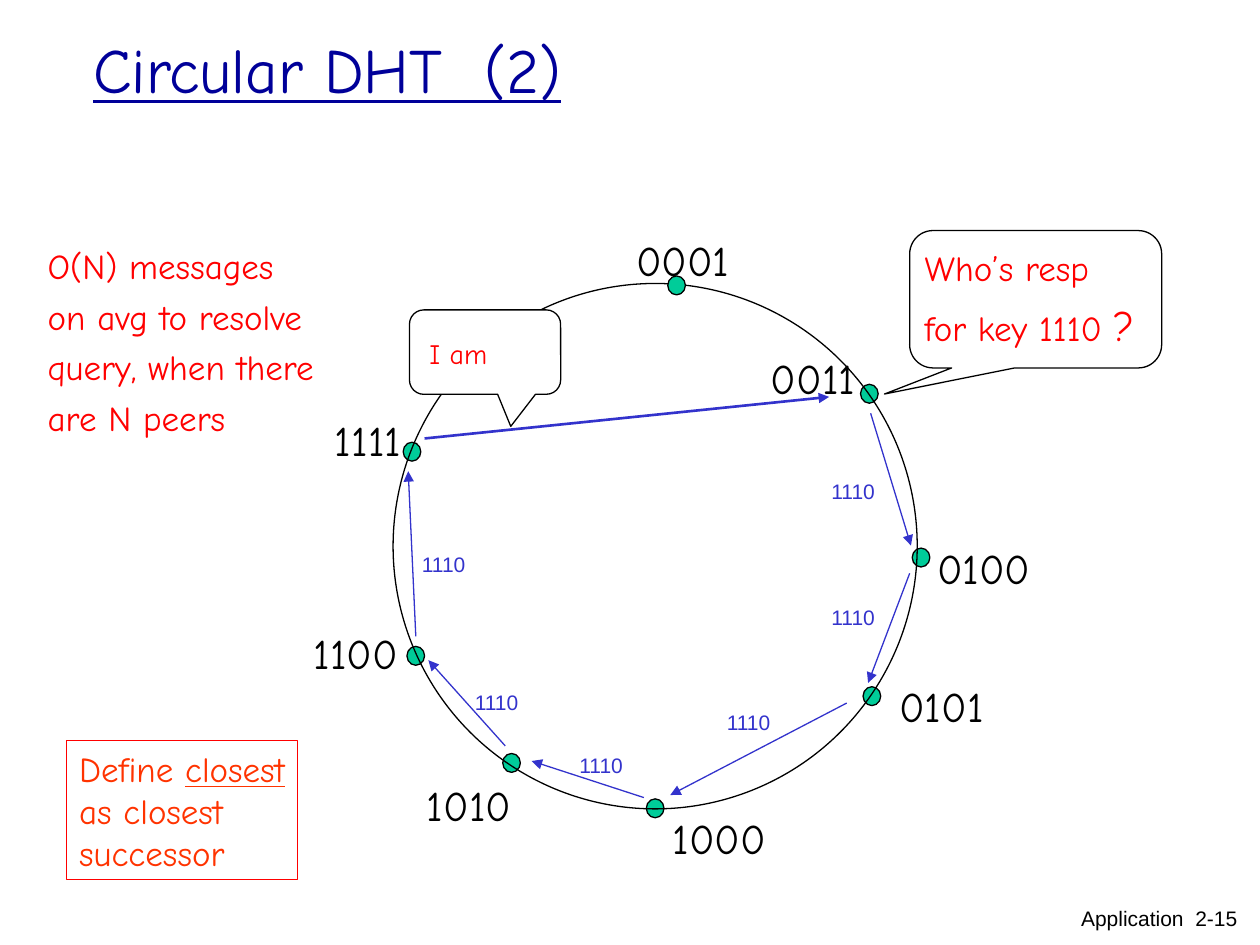
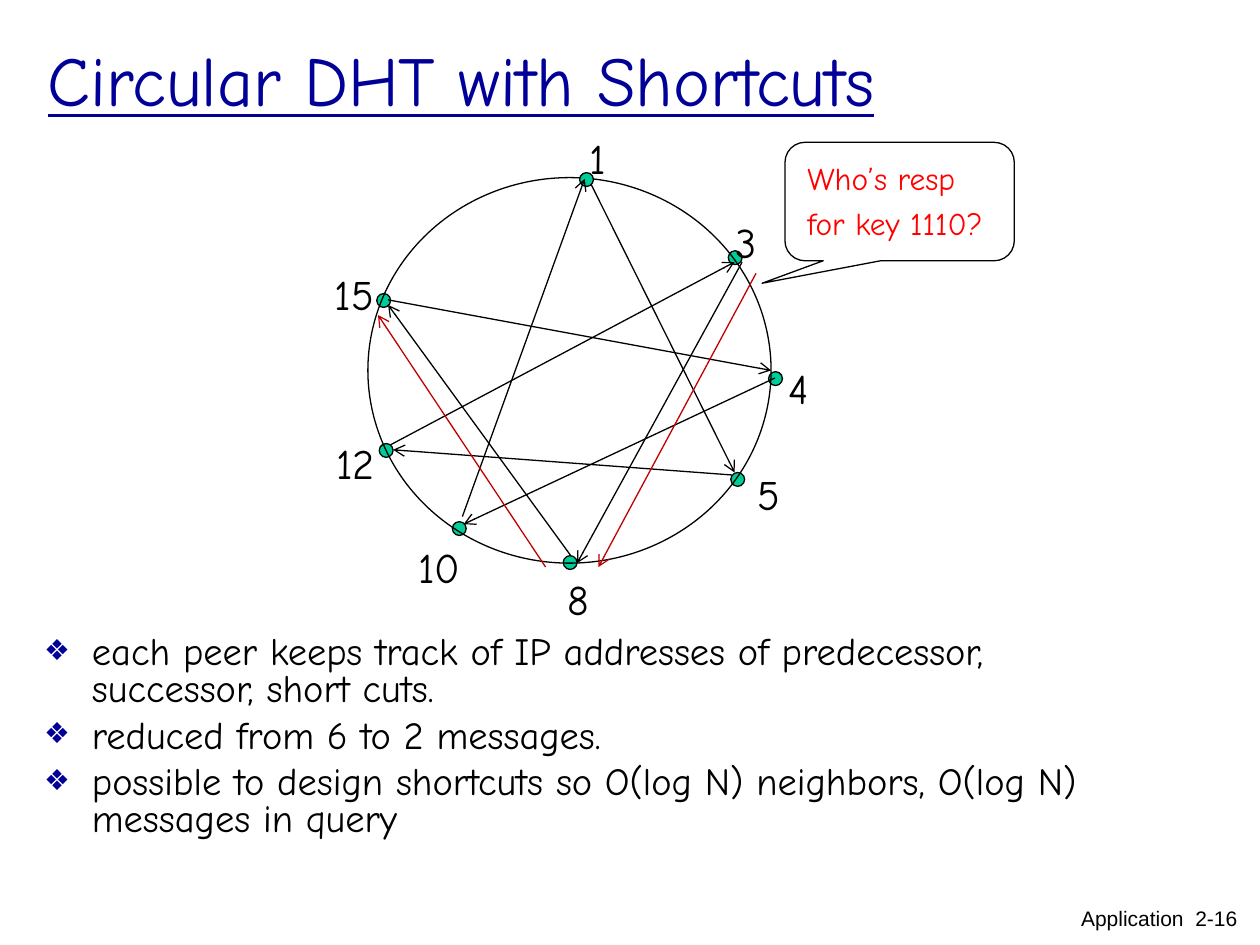
from lxml import etree
from pptx import Presentation
from pptx.dml.color import RGBColor
from pptx.enum.shapes import MSO_CONNECTOR, MSO_SHAPE
from pptx.enum.text import MSO_ANCHOR, MSO_AUTO_SIZE, PP_ALIGN
from pptx.oxml.ns import qn
from pptx.util import Inches, Pt

STRAIGHT = MSO_CONNECTOR.STRAIGHT
ELLIPSE, RECTANGLE = MSO_SHAPE.OVAL, MSO_SHAPE.RECTANGLE
CALLOUT = MSO_SHAPE.ROUNDED_RECTANGULAR_CALLOUT
TOP, MIDDLE = MSO_ANCHOR.TOP, MSO_ANCHOR.MIDDLE
NO_AUTOFIT, GROW = MSO_AUTO_SIZE.NONE, MSO_AUTO_SIZE.SHAPE_TO_FIT_TEXT
LEFT, RIGHT = PP_ALIGN.LEFT, PP_ALIGN.RIGHT
TITLE_ONLY, TITLE_AND_BODY = 5, 1

COLORS = {
    "title": "000099", "ink": "000000", "peer": "00CC99", "message": "3333CC",
    "speech": "FF0000", "define": "FF3300", "shortcut": "C00000", "paper": "FFFFFF",
}
HAND, SANS = "Comic Neue", "Arial"
THIN = 0.74
POINTER_RIGHT = (-0.6, 0.69, 0.17)
POINTER_DOWN = (0.17, 0.88, 0.17)

# Peers: name, dot left and top, label left, top and width; the last lies above the ring
BINARY_PEERS = [
    ("0011", 6.83, 3.05, 6.02, 2.75, 0.87),
    ("0100", 7.24, 4.35, 7.34, 4.26, 0.94),
    ("0101", 6.85, 5.45, 7.04, 5.35, 0.87),
    ("1000", 5.13, 6.34, 5.24, 6.4, 0.94),
    ("1010", 3.99, 5.98, 3.29, 6.14, 0.87),
    ("1100", 3.23, 5.13, 2.39, 4.93, 0.87),
    ("1111", 3.2, 3.51, 2.56, 3.24, 0.73),
    ("0001", 5.3, 2.19, 4.95, 1.81, 0.94),
]
NUMBERED_PEERS = [
    ("3", 5.78, 1.99, 5.74, 1.67, 0.37),
    ("4", 6.1, 2.95, 6.16, 2.83, 0.36),
    ("5", 5.8, 3.75, 5.91, 3.67, 0.38),
    ("8", 4.47, 4.41, 4.41, 4.5, 0.37),
    ("10", 3.59, 4.14, 3.22, 4.25, 0.55),
    ("12", 3.01, 3.52, 2.57, 3.42, 0.53),
    ("15", 2.99, 2.33, 2.56, 2.08, 0.53),
    ("1", 4.6, 1.37, 4.58, 1, 0.33),
]

# Forwarded queries: arrow start, arrow end, place of the key label
QUERY_HOPS = [
    ((6.91, 3.28), (7.23, 4.33), (6.5, 3.75)),
    ((7.22, 4.55), (6.89, 5.42), (6.5, 4.75)),
    ((6.72, 5.58), (5.32, 6.31), (5.67, 5.58)),
    ((5.11, 6.33), (4.22, 6.04), (4.5, 5.92)),
    ((4.01, 5.92), (3.4, 5.24), (3.67, 5.42)),
    ((3.3, 5.05), (3.24, 3.74), (3.25, 4.33)),
]
SHORTCUTS = [
    ((6.15, 3), (3.68, 4.16)),
    ((5.81, 3.77), (3.12, 3.57)),
    ((4.53, 4.41), (3.08, 2.42)),
    ((3.67, 4.1), (4.64, 1.42)),
    ((3.1, 3.53), (5.83, 2.08)),
    ((3.08, 2.38), (6.12, 2.94)),
    ((4.69, 1.46), (5.83, 3.75)),
    ((5.89, 2.08), (4.58, 4.47)),
]
USED_SHORTCUTS = [((6, 2.17), (4.75, 4.5)), ((4.33, 4.5), (3, 2.5))]
BULLETS = [
    "each peer keeps track of IP addresses of predecessor, successor, short cuts.",
    "reduced from 6 to 2 messages.",
    "possible to design shortcuts so O(log N) neighbors, O(log N) messages in query",
]


def rgb(name):
    return RGBColor.from_string(COLORS[name])


def add_span(para, text, size, color="ink", font=HAND, underline=False):
    span = para.add_run()
    span.text = text
    span.font.size = Pt(size)
    span.font.name = font
    span.font.underline = underline
    span.font.color.rgb = rgb(color)


def place(shape, left, top, width, height):
    shape.left, shape.top = Inches(left), Inches(top)
    shape.width, shape.height = Inches(width), Inches(height)


def add_paras(frame, lines, size, color="ink", font=HAND, before=0, align=LEFT):
    for index, line in enumerate(lines):
        para = frame.add_paragraph() if index else frame.paragraphs[0]
        para.alignment = align
        para.space_before = Pt(before)
        add_span(para, line, size, color, font)


def add_text(page, at, lines, size, wrap=False, **style):
    """Add a text box; one that does not wrap grows with its text."""
    box = page.shapes.add_textbox(*map(Inches, at))
    box.text_frame.word_wrap = wrap
    box.text_frame.auto_size = NO_AUTOFIT if wrap else GROW
    add_paras(box.text_frame, lines, size, **style)
    return box


def add_figure(page, kind, at, fill=None, line="ink"):
    shape = page.shapes.add_shape(kind, *map(Inches, at))
    shape.shadow.inherit = False
    if fill:
        shape.fill.solid()
        shape.fill.fore_color.rgb = rgb(fill)
    else:
        shape.fill.background()
    shape.line.color.rgb = rgb(line)
    shape.line.width = Pt(THIN)
    return shape


def add_callout(page, at, pointer, fill=None):
    shape = add_figure(page, CALLOUT, at, fill)
    for index, value in enumerate(pointer):
        shape.adjustments[index] = value


def add_arrow(page, start, end, color, head, width=THIN):
    arrow = page.shapes.add_connector(STRAIGHT, *map(Inches, start + end))
    arrow.line.color.rgb = rgb(color)
    arrow.line.width = Pt(width)
    properties = arrow._element.spPr
    outline = properties.find(qn("a:ln"))
    etree.SubElement(outline, qn("a:tailEnd"), type=head)
    etree.SubElement(properties, qn("a:effectLst"))


def add_ring(page, at, peers, dot_size):
    """Draw the circle of peers with a name beside each."""
    width, height = dot_size
    for _, left, top, *_ in peers[:-1]:
        add_figure(page, ELLIPSE, (left, top, width, height), "peer")
    add_figure(page, ELLIPSE, at)
    for name, _, _, left, top, label_width in peers:
        add_text(page, (left, top, label_width, 0.5), [name], 24, before=6)
    _, left, top, *_ = peers[-1]
    add_figure(page, ELLIPSE, (left, top, width, height), "peer")


def start_page(deck, layout, title, at, size, anchor, number):
    """Add a slide with its underlined title and its footer."""
    page = deck.slides.add_slide(deck.slide_layouts[layout])
    place(page.shapes.title, *at)
    frame = page.shapes.title.text_frame
    frame.auto_size = NO_AUTOFIT
    frame.vertical_anchor = anchor
    para = frame.paragraphs[0]
    para.alignment = LEFT
    add_span(para, title, size, "title", underline=True)
    add_text(page, (8.33, 7.14, 1.59, 0.31), [f"Application  2-{number}"], 12,
             wrap=True, font=SANS, align=RIGHT)
    return page


def add_bullets(page, at, lines):
    body = page.placeholders[1]
    place(body, *at)
    frame = body.text_frame
    frame.auto_size = NO_AUTOFIT
    add_paras(frame, lines, 22, before=5.5)
    for para in frame.paragraphs:
        para.line_spacing = 0.8
        properties = para._p.get_or_add_pPr()
        properties.set("marL", str(Inches(0.38)))
        properties.set("indent", str(Inches(-0.38)))
        color = etree.SubElement(properties, qn("a:buClr"))
        etree.SubElement(color, qn("a:srgbClr"), val=COLORS["title"])
        etree.SubElement(properties, qn("a:buSzPct"), val="75000")
        etree.SubElement(properties, qn("a:buChar"), char="❖")


def add_definition(page):
    box = add_figure(page, RECTANGLE, (0.53, 5.88, 1.83, 1.1), line="speech")
    frame = box.text_frame
    frame.word_wrap = False
    frame.vertical_anchor = TOP
    para = frame.paragraphs[0]
    para.alignment = LEFT
    para.space_before = Pt(5)
    add_span(para, "Define ", 20, "define")
    add_span(para, "closest", 20, "define", underline=True)
    for line in ("as closest", "successor"):
        para.add_line_break()
        add_span(para, line, 20, "define")


def build_circular(deck):
    page = start_page(deck, TITLE_ONLY, "Circular DHT  (2)",
                      (0.64, 0.19, 8.5, 1.06), 36, TOP, 15)
    add_ring(page, (3.12, 2.25, 4.16, 4.17), BINARY_PEERS, (0.14, 0.15))

    # Question, and the query passed round the ring
    add_callout(page, (7.22, 1.83, 2, 1.09), POINTER_RIGHT)
    question = add_text(page, (7.24, 1.91, 1.88, 0.92), ["Who’s resp", "for key 1110 "],
                        20, color="speech", before=5)
    last = question.text_frame.paragraphs[1]
    last.space_before = Pt(6)
    add_span(last, "?", 24, "speech")
    for start, end, (left, top) in QUERY_HOPS:
        add_arrow(page, start, end, "message", "triangle")
        add_text(page, (left, top, 0.57, 0.3), ["1110"], 12,
                 color="message", font=SANS, before=3)

    # Answer
    add_arrow(page, (3.37, 3.48), (6.58, 3.15), "message", "triangle", 1.5)
    add_callout(page, (3.25, 2.46, 1.2, 0.67), POINTER_DOWN, "paper")
    add_text(page, (3.31, 2.62, 1.42, 0.37), ["I am"], 16, wrap=True,
             color="speech", before=4)

    # Remarks
    cost = ["O(N) messages", "on avg to resolve", "query, when there", "are N peers"]
    add_text(page, (0.28, 1.89, 2.32, 1.64), cost, 20, color="speech", before=5)
    add_definition(page)


def build_shortcuts(deck):
    page = start_page(deck, TITLE_AND_BODY, "Circular DHT with Shortcuts",
                      (0.28, 0, 9, 1.25), 40, MIDDLE, 16)
    add_bullets(page, (0.25, 5, 9, 1.83), BULLETS)
    add_ring(page, (2.92, 1.41, 3.2, 3.06), NUMBERED_PEERS, (0.11, 0.11))
    for color, links in (("ink", SHORTCUTS), ("shortcut", USED_SHORTCUTS)):
        for start, end in links:
            add_arrow(page, start, end, color, "arrow")
    add_callout(page, (6.23, 1.13, 1.82, 0.94), POINTER_RIGHT)
    add_text(page, (6.31, 1.21, 1.8, 0.77), ["Who’s resp", "for key 1110?"], 18,
             wrap=True, color="speech", before=4.5)


def main():
    deck = Presentation()
    deck.slide_width, deck.slide_height = Inches(10), Inches(7.5)
    build_circular(deck)
    build_shortcuts(deck)
    deck.save("out.pptx")


main()
